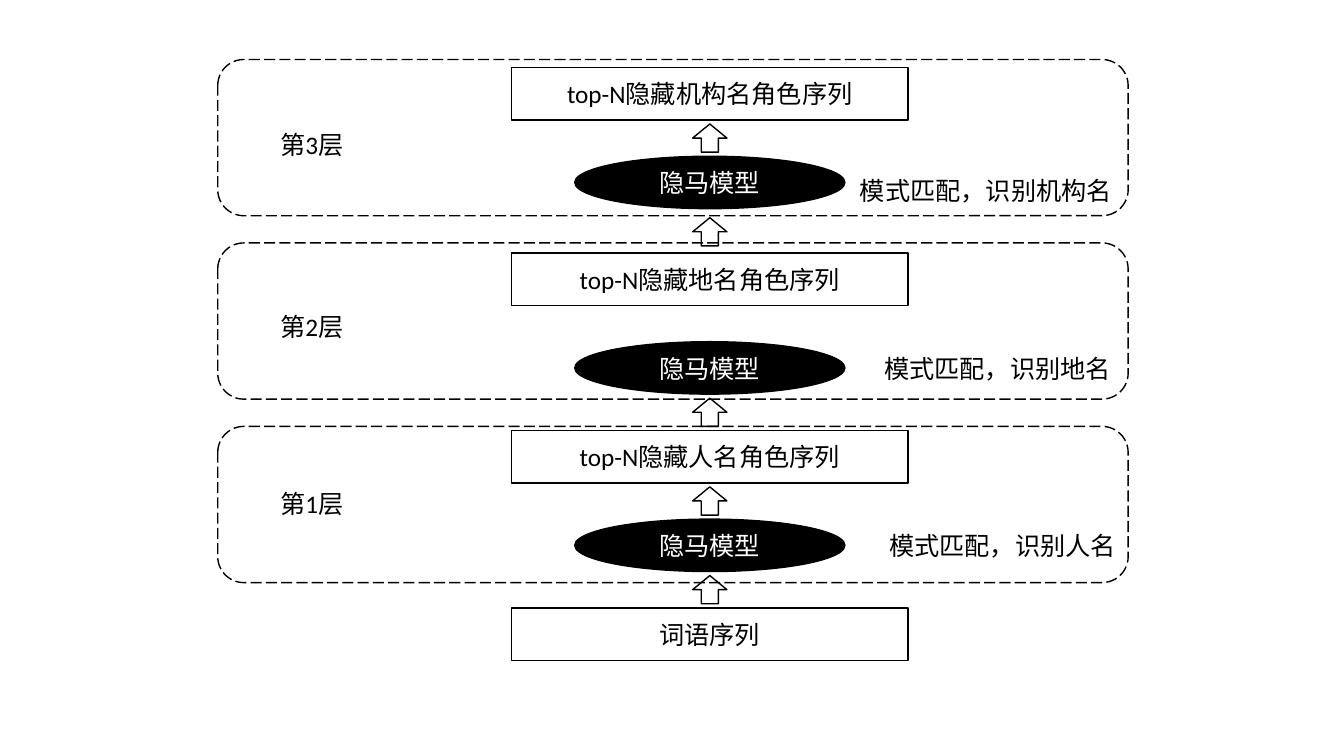
from pptx import Presentation
from pptx.dml.color import RGBColor
from pptx.enum.dml import MSO_LINE
from pptx.enum.shapes import MSO_SHAPE
from pptx.enum.text import MSO_ANCHOR, MSO_AUTO_SIZE, PP_ALIGN
from pptx.util import Inches, Pt

BLACK, WHITE = "000000", "FFFFFF"
FONT, SIZE = "Calibri", 18
CENTER_X = 7.04
BOX_W, MODEL_W, ROW_H = 3.93, 2.68, 0.52
MODEL_STEP = 0.88
FRAME_TOP, FRAME_STEP = 4.23, 1.82
ARROW_TOPS = (5.71, 4.83, 3.95, 2.16, 1.23)

# name type, top of sequence box, label top, note left, note top, note width
LAYERS = (
    ("人名", 4.27, 4.8, 8.72, 5.21, 2.47),
    ("地名", 2.51, 3.04, 8.67, 3.46, 2.47),
    ("机构名", 0.67, 1.23, 8.43, 1.69, 2.73),
)


def color(value):
    """Turn a hex string into a colour."""
    return RGBColor.from_string(value)


def style_text(tf, text, ink, align):
    """Write one paragraph in the slide's font."""
    p = tf.paragraphs[0]
    p.text = text
    p.alignment = align
    p.font.name = FONT
    p.font.size = Pt(SIZE)
    p.font.color.rgb = color(ink)


def add_outlined(s, kind, left, top, width, height, fill=None):
    """Add a shape with a thin black outline and an optional fill."""
    sp = s.shapes.add_shape(kind, Inches(left), Inches(top),
                            Inches(width), Inches(height))
    sp.shadow.inherit = False
    if fill:
        sp.fill.solid()
        sp.fill.fore_color.rgb = color(fill)
    else:
        sp.fill.background()
    sp.line.color.rgb = color(BLACK)
    sp.line.width = Pt(1)
    return sp


def add_node(s, kind, top, width, text, fill, ink):
    """Add a captioned node on the central axis."""
    sp = add_outlined(s, kind, CENTER_X - width / 2, top, width, ROW_H, fill)
    sp.text_frame.vertical_anchor = MSO_ANCHOR.MIDDLE
    style_text(sp.text_frame, text, ink, PP_ALIGN.CENTER)


def add_sequence(s, top, text):
    """Add a white sequence box."""
    add_node(s, MSO_SHAPE.RECTANGLE, top, BOX_W, text, WHITE, BLACK)


def add_model(s, top):
    """Add a black hidden Markov model ellipse."""
    add_node(s, MSO_SHAPE.OVAL, top, MODEL_W, "隐马模型", BLACK, WHITE)


def add_arrow(s, top):
    """Add an upward block arrow on the central axis."""
    add_outlined(s, MSO_SHAPE.UP_ARROW, CENTER_X - 0.17, top, 0.34, 0.28, WHITE)


def add_frame(s, top):
    """Add the dashed frame around a layer."""
    sp = add_outlined(s, MSO_SHAPE.ROUNDED_RECTANGLE, 2.16, top, 9.03, 1.55)
    sp.line.dash_style = MSO_LINE.LONG_DASH


def add_text(s, left, top, width, text):
    """Add a plain left-aligned text box."""
    tf = s.shapes.add_textbox(Inches(left), Inches(top),
                              Inches(width), Inches(0.4)).text_frame
    tf.word_wrap = True
    tf.auto_size = MSO_AUTO_SIZE.SHAPE_TO_FIT_TEXT
    style_text(tf, text, BLACK, PP_ALIGN.LEFT)


def main():
    """Build the three-layer model slide."""
    prs = Presentation()
    prs.slide_width, prs.slide_height = Inches(13.33), Inches(7.5)
    s = prs.slides.add_slide(prs.slide_layouts[6])

    add_sequence(s, 6.03, "词语序列")
    for name, top, _, note_left, note_top, note_width in LAYERS:
        add_model(s, top + MODEL_STEP)
        add_sequence(s, top, f"top-N隐藏{name}角色序列")
        add_text(s, note_left, note_top, note_width, f"模式匹配，识别{name}")
    for top in ARROW_TOPS:
        add_arrow(s, top)
    for i, (_, _, label_top, *_) in enumerate(LAYERS):
        add_frame(s, FRAME_TOP - i * FRAME_STEP)
        add_text(s, 2.68, label_top, 0.83, f"第{i + 1}层")

    prs.save("out.pptx")


main()
